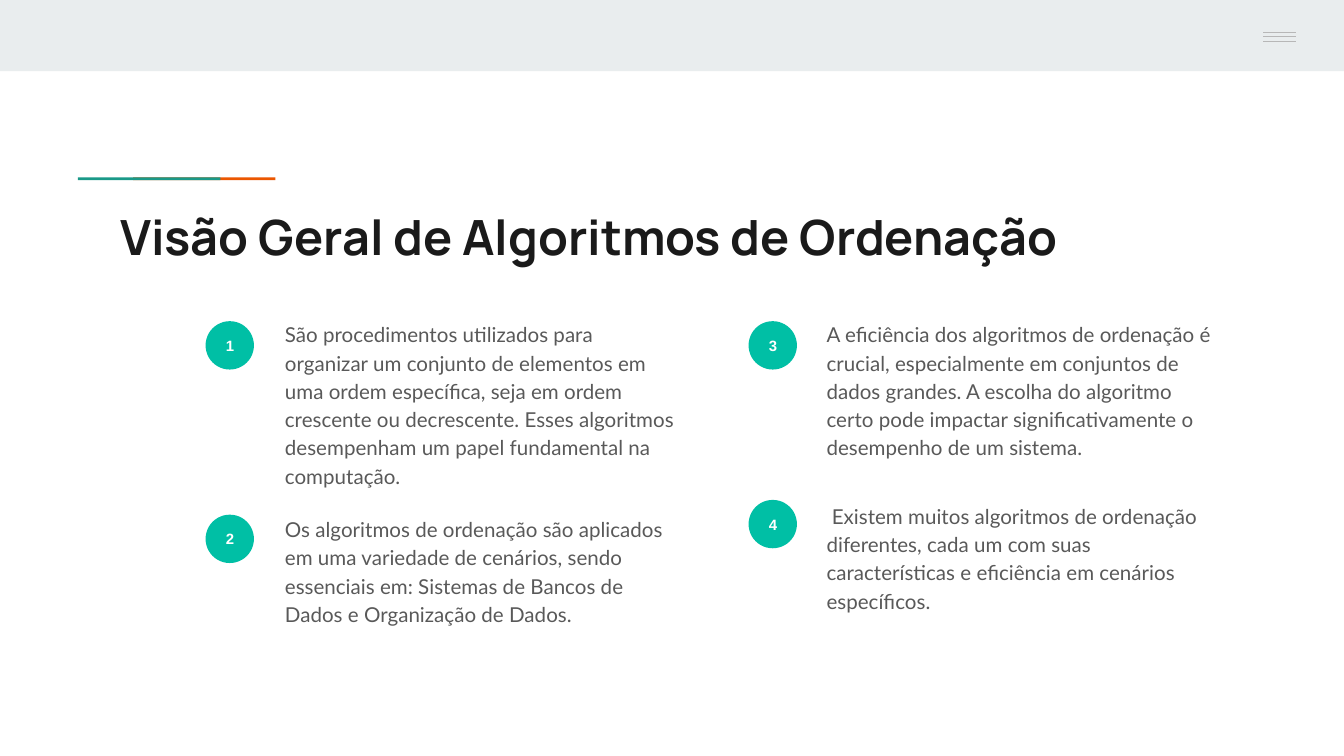
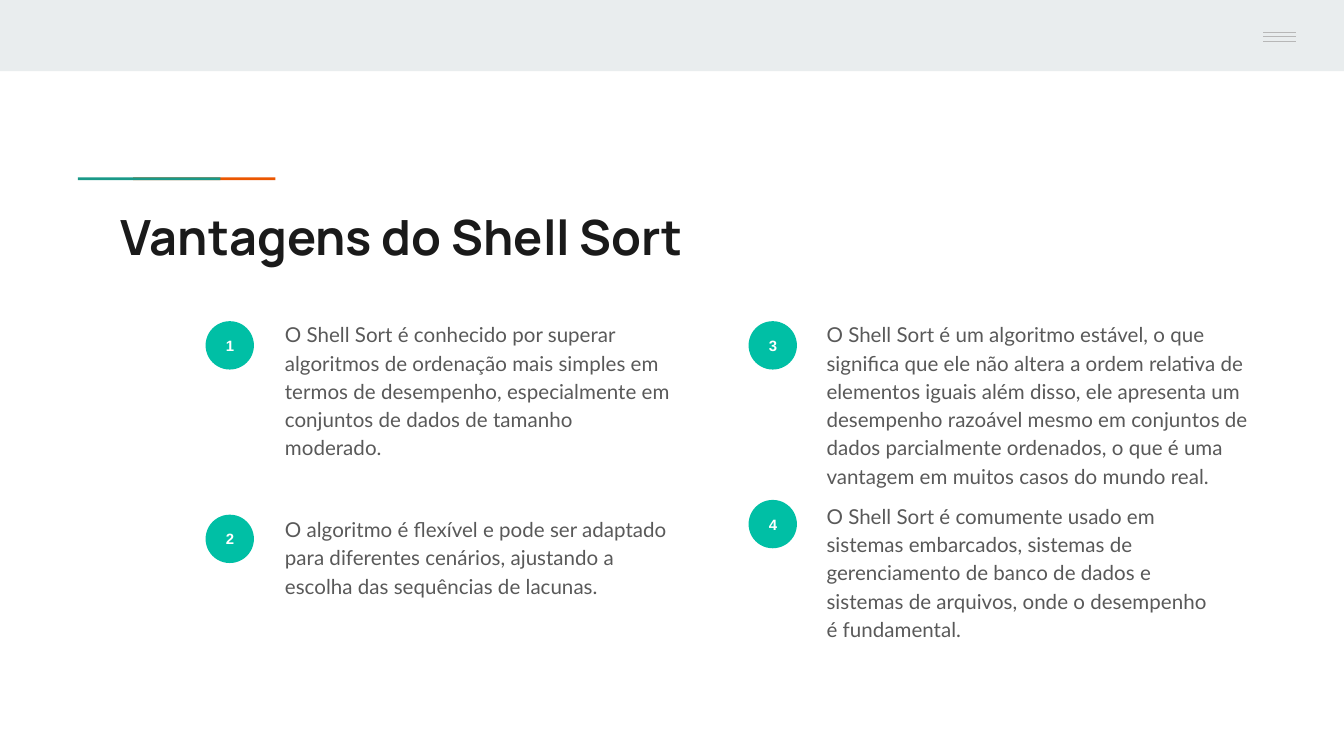
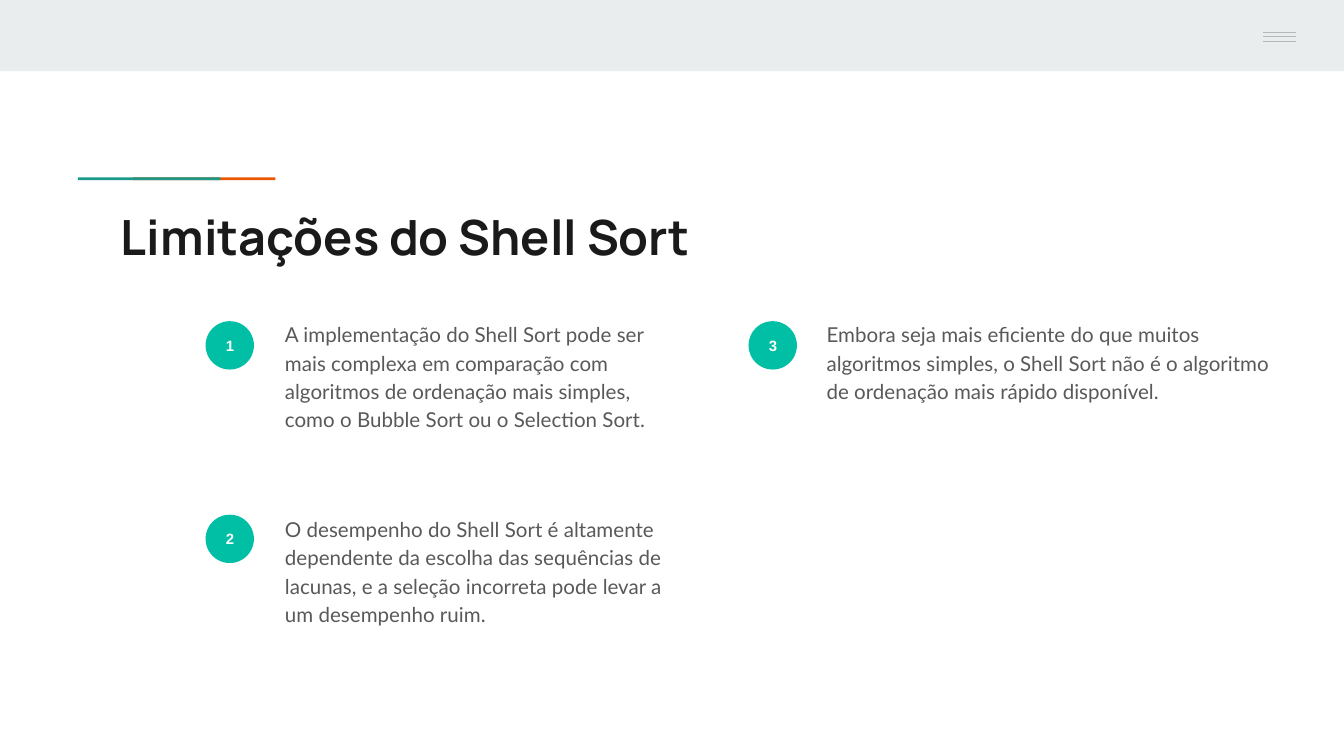
import pptx
import pptx.dml.color
import pptx.enum.shapes
import pptx.enum.text
import pptx.oxml
import pptx.util
from pptx.dml.color import RGBColor
from pptx.util import Inches

WHITE = RGBColor(0xFF, 0xFF, 0xFF)
BAND = RGBColor(0xE9, 0xED, 0xEE)
MENU_GRAY = RGBColor(0xB7, 0xB7, 0xB7)
ORANGE = RGBColor(0xEB, 0x56, 0x00)
GREEN = RGBColor(0x1A, 0x99, 0x88)
TEAL = RGBColor(0x00, 0xBF, 0xA5)
TITLE_COLOR = RGBColor(0x1A, 0x1A, 0x1A)
TEXT_COLOR = RGBColor(0x59, 0x59, 0x59)

SLIDE_WIDTH = 10
SLIDE_HEIGHT = SLIDE_WIDTH * 9 / 16
COMPARISON_LAYOUT = 4
BADGE_SIZE = 0.36
TEXT_WIDTH = 3.1
WIDE_TEXT_WIDTH = 3.54
TEXT_HEIGHT = 1.15
BADGE_POSITIONS = [(1.53, 2.39), (1.53, 3.83), (5.57, 2.39), (5.57, 3.72)]
TEXT_POSITIONS = [(2.02, 2.27), (2.02, 3.72), (6.05, 2.27), (6.05, 3.62)]

SLIDES = [
    ("Visão Geral de Algoritmos de Ordenação", TEXT_WIDTH, [
        "São procedimentos utilizados para organizar um conjunto de elementos em uma ordem "
        "específica, seja em ordem crescente ou decrescente. Esses algoritmos desempenham um "
        "papel fundamental na computação.",
        "Os algoritmos de ordenação são aplicados em uma variedade de cenários, sendo essenciais "
        "em: Sistemas de Bancos de Dados e Organização de Dados.",
        "A eficiência dos algoritmos de ordenação é crucial, especialmente em conjuntos de dados "
        "grandes. A escolha do algoritmo certo pode impactar significativamente o desempenho de "
        "um sistema.",
        " Existem muitos algoritmos de ordenação diferentes, cada um com suas características e "
        "eficiência em cenários específicos.",
    ]),
    ("Vantagens do Shell Sort", WIDE_TEXT_WIDTH, [
        "O Shell Sort é conhecido por superar algoritmos de ordenação mais simples em termos de "
        "desempenho, especialmente em conjuntos de dados de tamanho moderado.",
        "O algoritmo é flexível e pode ser adaptado para diferentes cenários, ajustando a escolha "
        "das sequências de lacunas.",
        "O Shell Sort é um algoritmo estável, o que significa que ele não altera a ordem relativa "
        "de elementos iguais além disso, ele apresenta um desempenho razoável mesmo em conjuntos "
        "de dados parcialmente ordenados, o que é uma vantagem em muitos casos do mundo real.",
        "O Shell Sort é comumente usado em sistemas embarcados, sistemas de gerenciamento de banco "
        "de dados e sistemas de arquivos, onde o desempenho é fundamental.",
    ]),
    ("Limitações do Shell Sort", WIDE_TEXT_WIDTH, [
        "A implementação do Shell Sort pode ser mais complexa em comparação com algoritmos de "
        "ordenação mais simples, como o Bubble Sort ou o Selection Sort.",
        "O desempenho do Shell Sort é altamente dependente da escolha das sequências de lacunas, "
        "e a seleção incorreta pode levar a um desempenho ruim.",
        "Embora seja mais eficiente do que muitos algoritmos simples, o Shell Sort não é o "
        "algoritmo de ordenação mais rápido disponível.",
    ]),
]


def add_filled_shape(slide, kind, left, top, width, height, color):
    shape = slide.shapes.add_shape(
        kind, Inches(left), Inches(top), Inches(width), Inches(height))
    shape.shadow.inherit = False
    shape.fill.solid()
    shape.fill.fore_color.rgb = color
    shape.line.fill.background()
    return shape


def add_menu_line(slide, top):
    line = slide.shapes.add_connector(
        pptx.enum.shapes.MSO_CONNECTOR.STRAIGHT,
        Inches(9.4), Inches(top), Inches(9.64), Inches(top))
    line.line.color.rgb = MENU_GRAY
    line.line.width = pptx.util.Pt(0.75)
    line._element.spPr.append(pptx.oxml.parse_xml(
        '<a:effectLst xmlns:a="http://schemas.openxmlformats.org/drawingml/2006/main"/>'))


def add_decoration(slide):
    rectangle = pptx.enum.shapes.MSO_SHAPE.RECTANGLE
    add_filled_shape(slide, rectangle, 0, 0, SLIDE_WIDTH, 0.53, BAND)
    add_filled_shape(slide, rectangle, 0.99, 1.32, 1.06, 0.02, ORANGE)
    add_filled_shape(slide, rectangle, 0.58, 1.32, 1.06, 0.02, GREEN)
    add_filled_shape(slide, rectangle, 9.06, 0, 0.94, 0.5, BAND)
    for top in (0.24, 0.27, 0.31):
        add_menu_line(slide, top)


def place(shape, left, top, width, height):
    shape.left, shape.top = Inches(left), Inches(top)
    shape.width, shape.height = Inches(width), Inches(height)


def write_text(shape, text, size, font_name, color, bold, anchor, alignment):
    frame = shape.text_frame
    frame.text = text
    frame.word_wrap = True
    frame.auto_size = pptx.enum.text.MSO_AUTO_SIZE.NONE
    frame.vertical_anchor = anchor
    frame.margin_left = frame.margin_right = Inches(0.1)
    frame.margin_top = frame.margin_bottom = Inches(0.1)
    paragraph = frame.paragraphs[0]
    paragraph.alignment = alignment
    paragraph.space_before = pptx.util.Pt(0)
    font = paragraph.runs[0].font
    font.size = pptx.util.Pt(size)
    font.name = font_name
    font.bold = bold
    font.color.rgb = color
    return paragraph


def write_title(slide, text):
    title = slide.shapes.title
    place(title, 0.8, 1.44, 8.41, 0.59)
    write_text(title, text, 26, "Manrope", TITLE_COLOR, True,
               pptx.enum.text.MSO_ANCHOR.TOP, pptx.enum.text.PP_ALIGN.LEFT)


def write_item(placeholder, text, left, top, width):
    place(placeholder, left, top, width, TEXT_HEIGHT)
    paragraph = write_text(placeholder, text, 11, "Lato", TEXT_COLOR, False,
                           pptx.enum.text.MSO_ANCHOR.TOP, pptx.enum.text.PP_ALIGN.LEFT)
    paragraph.line_spacing = 1.15
    paragraph.space_after = pptx.util.Pt(16)
    properties = paragraph._p.get_or_add_pPr()
    properties.set("marL", "0")
    properties.set("indent", "0")
    properties.append(pptx.oxml.parse_xml(
        '<a:buNone xmlns:a="http://schemas.openxmlformats.org/drawingml/2006/main"/>'))


def add_badge(slide, number, left, top):
    badge = add_filled_shape(slide, pptx.enum.shapes.MSO_SHAPE.OVAL,
                             left, top, BADGE_SIZE, BADGE_SIZE, TEAL)
    write_text(badge, str(number), 8, "Arial", WHITE, True,
               pptx.enum.text.MSO_ANCHOR.MIDDLE, pptx.enum.text.PP_ALIGN.CENTER)


def add_numbered_slide(presentation, title, third_width, items):
    slide = presentation.slides.add_slide(presentation.slide_layouts[COMPARISON_LAYOUT])
    add_decoration(slide)
    write_title(slide, title)
    bodies = list(slide.placeholders)[1:]
    for index, text in enumerate(items):
        width = third_width if index == 2 else TEXT_WIDTH
        add_badge(slide, index + 1, *BADGE_POSITIONS[index])
        write_item(bodies[index], text, *TEXT_POSITIONS[index], width)
    for body in bodies[len(items):]:
        body._element.getparent().remove(body._element)


def main():
    presentation = pptx.Presentation()
    presentation.slide_width = Inches(SLIDE_WIDTH)
    presentation.slide_height = Inches(SLIDE_HEIGHT)
    for title, third_width, items in SLIDES:
        add_numbered_slide(presentation, title, third_width, items)
    presentation.save("out.pptx")


if __name__ == "__main__":
    main()
